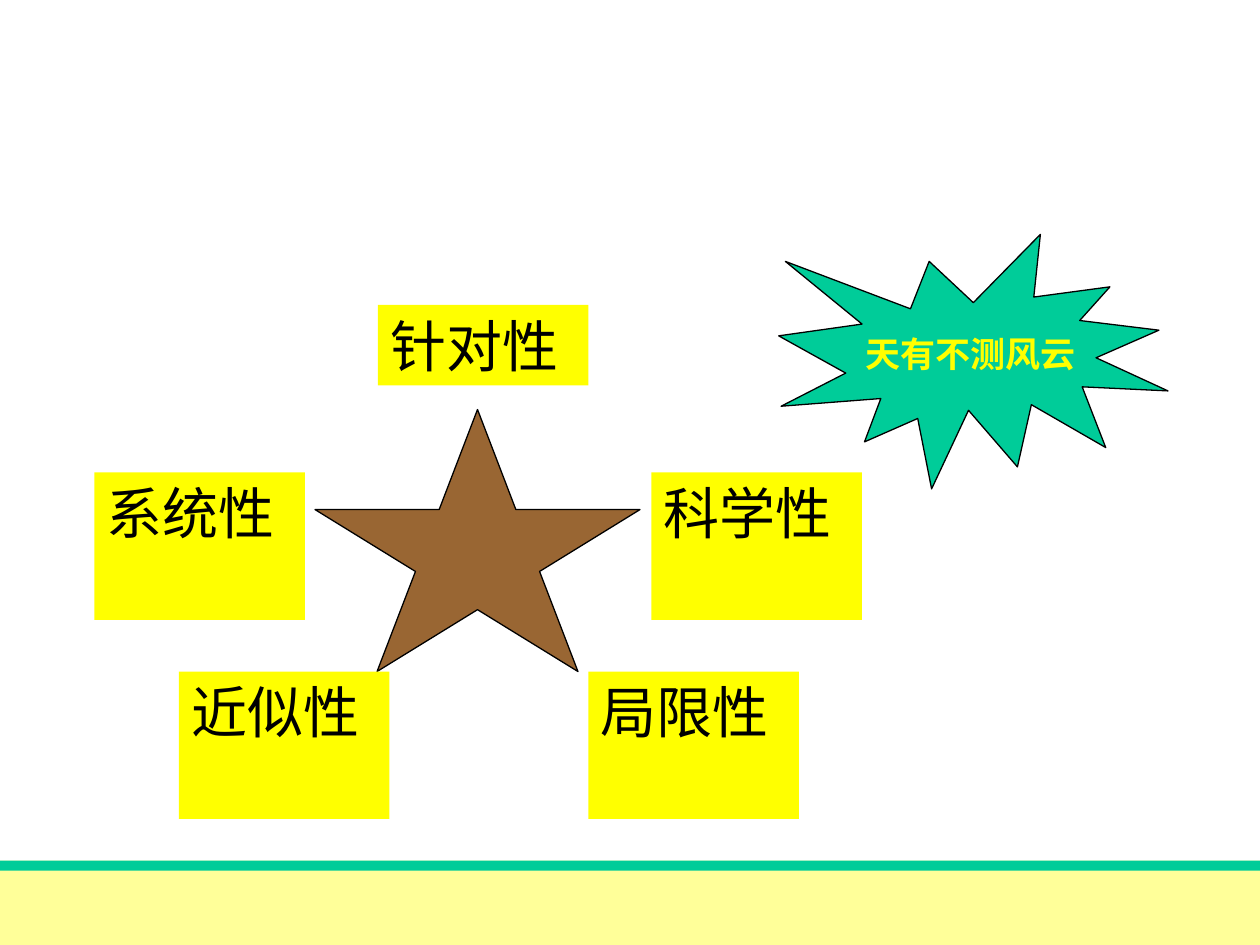
from typing import NamedTuple

from pptx import Presentation
from pptx.dml.color import RGBColor
from pptx.enum.shapes import MSO_SHAPE
from pptx.enum.text import MSO_ANCHOR, PP_ALIGN
from pptx.shapes.autoshape import Shape
from pptx.slide import Slide
from pptx.util import Inches, Pt

RECT, STAR, BURST = MSO_SHAPE.RECTANGLE, MSO_SHAPE.STAR_5_POINT, MSO_SHAPE.EXPLOSION1
TOP, MIDDLE = MSO_ANCHOR.TOP, MSO_ANCHOR.MIDDLE
LEFT, CENTER = PP_ALIGN.LEFT, PP_ALIGN.CENTER

BLACK = RGBColor(0x00, 0x00, 0x00)
YELLOW = RGBColor(0xFF, 0xFF, 0x00)
CREAM = RGBColor(0xFF, 0xFF, 0x99)
GREEN = RGBColor(0x00, 0xCC, 0x99)
BROWN = RGBColor(0x99, 0x66, 0x33)

LABEL_WIDTH = 1.67


class Box(NamedTuple):
    left: float
    top: float
    width: float
    height: float


class Label(NamedTuple):
    text: str
    left: float
    top: float
    height: float = 1.17


LABELS = [
    Label("针对性", 3, 2.42, 0.64),
    Label("系统性", 0.75, 3.75),
    Label("科学性", 5.17, 3.75),
    Label("局限性", 4.67, 5.33),
    Label("近似性", 1.42, 5.33),
]


def add_shape(slide: Slide, kind: MSO_SHAPE, box: Box, fill: RGBColor,
              outlined: bool = False) -> Shape:
    shape = slide.shapes.add_shape(kind, *map(Inches, box))
    shape.shadow.inherit = False
    shape.fill.solid()
    shape.fill.fore_color.rgb = fill
    if outlined:
        shape.line.color.rgb = BLACK
        shape.line.width = Pt(0.75)
    else:
        shape.line.fill.background()
    return shape


def set_text(shape: Shape, text: str, font: str, size: int, color: RGBColor,
             align: PP_ALIGN = LEFT, anchor: MSO_ANCHOR = TOP,
             bold: bool = False, wrap: bool = True) -> None:
    frame = shape.text_frame
    frame.word_wrap = wrap
    frame.vertical_anchor = anchor
    line = frame.paragraphs[0]
    line.text = text
    line.alignment = align
    line.font.name = font
    line.font.size = Pt(size)
    line.font.bold = bold
    line.font.color.rgb = color


def add_label(slide: Slide, label: Label) -> None:
    box = Box(label.left, label.top, LABEL_WIDTH, label.height)
    shape = add_shape(slide, RECT, box, YELLOW)
    set_text(shape, label.text, "Noto Sans CJK SC", 32, BLACK)


def main() -> None:
    deck = Presentation()
    deck.slide_width, deck.slide_height = Inches(10), Inches(7.5)
    slide = deck.slides.add_slide(deck.slide_layouts[6])

    add_shape(slide, RECT, Box(0, 6.83, 10, 0.67), CREAM)
    add_shape(slide, RECT, Box(0, 6.83, 10, 0.08), GREEN)

    add_shape(slide, STAR, Box(2.5, 3.25, 2.58, 2.08), BROWN, outlined=True)
    for label in LABELS:
        add_label(slide, label)

    burst = add_shape(slide, BURST, Box(6.18, 1.86, 3.09, 2.02), GREEN, outlined=True)
    set_text(burst, "天有不测风云", "Times New Roman", 20, YELLOW,
             CENTER, MIDDLE, bold=True, wrap=False)

    deck.save("out.pptx")


if __name__ == "__main__":
    main()
